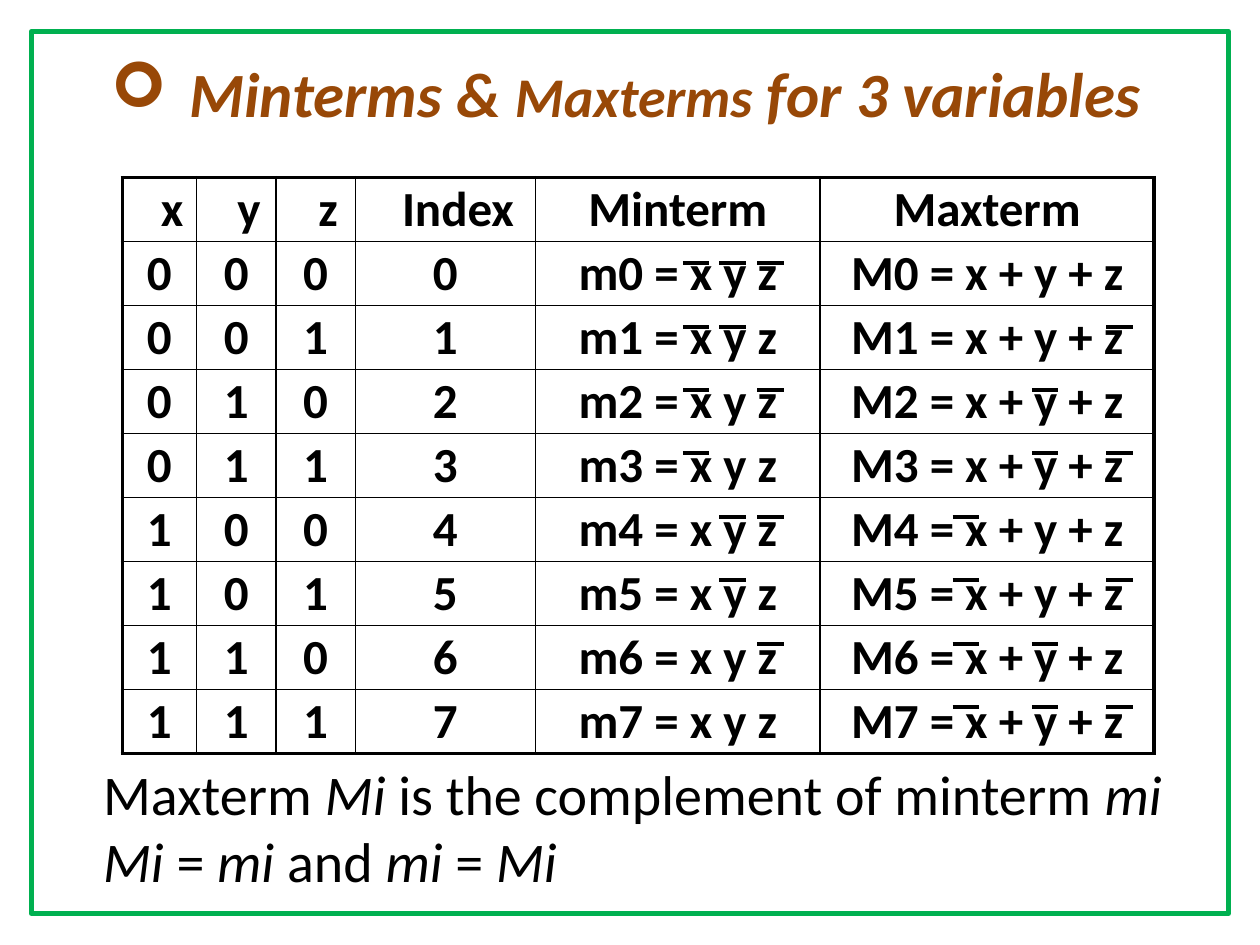
from lxml import etree
from pptx import Presentation
from pptx.dml.color import RGBColor
from pptx.enum import shapes, text
from pptx.oxml import ns
from pptx.util import Inches, Pt

FONT = "Calibri"
BLACK = RGBColor(0x00, 0x00, 0x00)
BROWN = RGBColor(0x98, 0x48, 0x07)
GREEN = RGBColor(0x00, 0xB0, 0x50)

# Table grid, in inches
TABLE_LEFT, TABLE_TOP, ROW_HEIGHT = 0.97, 1.41, 0.508
COLUMN_WIDTHS = [0.59, 0.63, 0.63, 1.43, 2.26, 2.65]
HEADERS = ["x", "y", "z", "Index", "Minterm", "Maxterm"]
INDENTED_HEADERS = 4
VARIABLES = 3
THIN, THICK = 1, 2.25

# Overbars above x, y and z, in inches
MINTERM_BARS = [5.42, 5.71, 6.01]
MAXTERM_BARS = [7.56, 8.19, 8.78]
BAR_TOP, BAR_PITCH, BAR_LENGTH = 2.09, 0.503, 0.21


def bits_of(index):
    return [int(digit) for digit in f"{index:0{VARIABLES}b}"]


def set_font(font, size, color, bold=False, italic=None):
    font.name = FONT
    font.size = Pt(size)
    font.color.rgb = color
    font.bold = bold
    font.italic = italic


def add_title(slide):
    title = slide.shapes.title
    title.left, title.top = Inches(0.78), Inches(0.29)
    title.width, title.height = Inches(8.5), Inches(0.89)
    frame = title.text_frame
    frame.auto_size = text.MSO_AUTO_SIZE.NONE
    frame.vertical_anchor = text.MSO_ANCHOR.MIDDLE
    para = frame.paragraphs[0]
    para.alignment = text.PP_ALIGN.LEFT

    # Arrow bullet with a hanging indent
    properties = para._p.get_or_add_pPr()
    properties.set("marL", str(Inches(0.62)))
    properties.set("indent", str(-Inches(0.62)))
    bullet_font = etree.SubElement(properties, ns.qn("a:buFont"))
    bullet_font.set("typeface", "Wingdings")
    bullet = etree.SubElement(properties, ns.qn("a:buChar"))
    bullet.set("char", "➢")

    set_font(para.font, 36, BROWN, bold=True, italic=True)
    for words, size in [("Minterms & ", 36), ("Maxterms", 32), (" for 3 variables", 36)]:
        span = para.add_run()
        span.text = words
        set_font(span.font, size, BROWN, bold=True, italic=True)


def set_borders(cell, weights):
    """Draw the cell's left, right, top and bottom borders, in that order."""
    properties = cell._tc.get_or_add_tcPr()
    for side, weight in zip("LRTB", weights):
        line = etree.SubElement(properties, ns.qn(f"a:ln{side}"), w=str(Pt(weight)))
        fill = etree.SubElement(line, ns.qn("a:solidFill"))
        etree.SubElement(fill, ns.qn("a:srgbClr"), val=str(BLACK))


def add_truth_table(slide):
    rows = [HEADERS]
    for index in range(2 ** VARIABLES):
        rows.append([*map(str, bits_of(index)), str(index),
                     f"m{index} = x y z", f"M{index} = x + y + z"])
    last_row, last_column = len(rows) - 1, len(HEADERS) - 1

    table = slide.shapes.add_table(
        len(rows), len(HEADERS), Inches(TABLE_LEFT), Inches(TABLE_TOP),
        Inches(sum(COLUMN_WIDTHS)), Inches(ROW_HEIGHT * len(rows))).table
    table.first_row = table.horz_banding = False
    for column, width in zip(table.columns, COLUMN_WIDTHS):
        column.width = Inches(width)

    for r, row in enumerate(rows):
        table.rows[r].height = Inches(ROW_HEIGHT)
        for c, words in enumerate(row):
            cell = table.cell(r, c)
            cell.margin_left = cell.margin_right = 0
            cell.margin_top = cell.margin_bottom = 0
            cell.vertical_anchor = text.MSO_ANCHOR.MIDDLE
            outer = (c == 0, c == last_column, r == 0, r == last_row)
            set_borders(cell, [THICK if edge else THIN for edge in outer])
            cell.fill.background()
            para = cell.text_frame.paragraphs[0]
            para.text = words
            para.alignment = text.PP_ALIGN.CENTER
            if r == 0 and c < INDENTED_HEADERS:
                para._p.get_or_add_pPr().set("marL", str(Inches(0.2)))
            set_font(para.font, 28, BLACK, bold=True)


def add_overbar(slide, left, top):
    bar = slide.shapes.add_connector(
        shapes.MSO_CONNECTOR.STRAIGHT, Inches(left), Inches(top),
        Inches(left + BAR_LENGTH), Inches(top))
    bar.line.color.rgb = BLACK
    bar.line.width = Pt(THICK)
    etree.SubElement(bar._element.spPr, ns.qn("a:effectLst"))


def add_overbars(slide):
    # A minterm complements its 0 bits, a maxterm its 1 bits
    for index in range(2 ** VARIABLES):
        top = BAR_TOP + BAR_PITCH * index
        for bit, *lefts in zip(bits_of(index), MINTERM_BARS, MAXTERM_BARS):
            add_overbar(slide, lefts[bit], top)


def add_caption(slide):
    lines = [
        [("Maxterm ", False), ("Mi", True),
         (" is the complement of minterm ", False), ("mi", True)],
        [("Mi ", True), ("=", False), (" mi ", True), ("and ", False),
         ("mi", True), (" = ", False), ("Mi", True)],
    ]
    box = slide.shapes.add_textbox(Inches(0.72), Inches(5.98), Inches(8.74), Inches(1.17))
    frame = box.text_frame
    frame.word_wrap = True
    for number, spans in enumerate(lines):
        para = frame.add_paragraph() if number else frame.paragraphs[0]
        set_font(para.font, 32, BLACK)
        for words, italic in spans:
            span = para.add_run()
            span.text = words
            set_font(span.font, 32, BLACK, italic=italic)


def add_frame(slide):
    border = slide.shapes.add_shape(
        shapes.MSO_SHAPE.RECTANGLE, Inches(0.25), Inches(0.25), Inches(9.5), Inches(7))
    border.shadow.inherit = False
    border.fill.background()
    border.line.color.rgb = GREEN
    border.line.width = Pt(3)


def main():
    deck = Presentation()
    deck.slide_width, deck.slide_height = Inches(10), Inches(7.5)
    slide = deck.slides.add_slide(deck.slide_layouts.get_by_name("Title Only"))
    add_title(slide)
    add_truth_table(slide)
    add_overbars(slide)
    add_caption(slide)
    add_frame(slide)
    deck.save("out.pptx")


if __name__ == "__main__":
    main()
